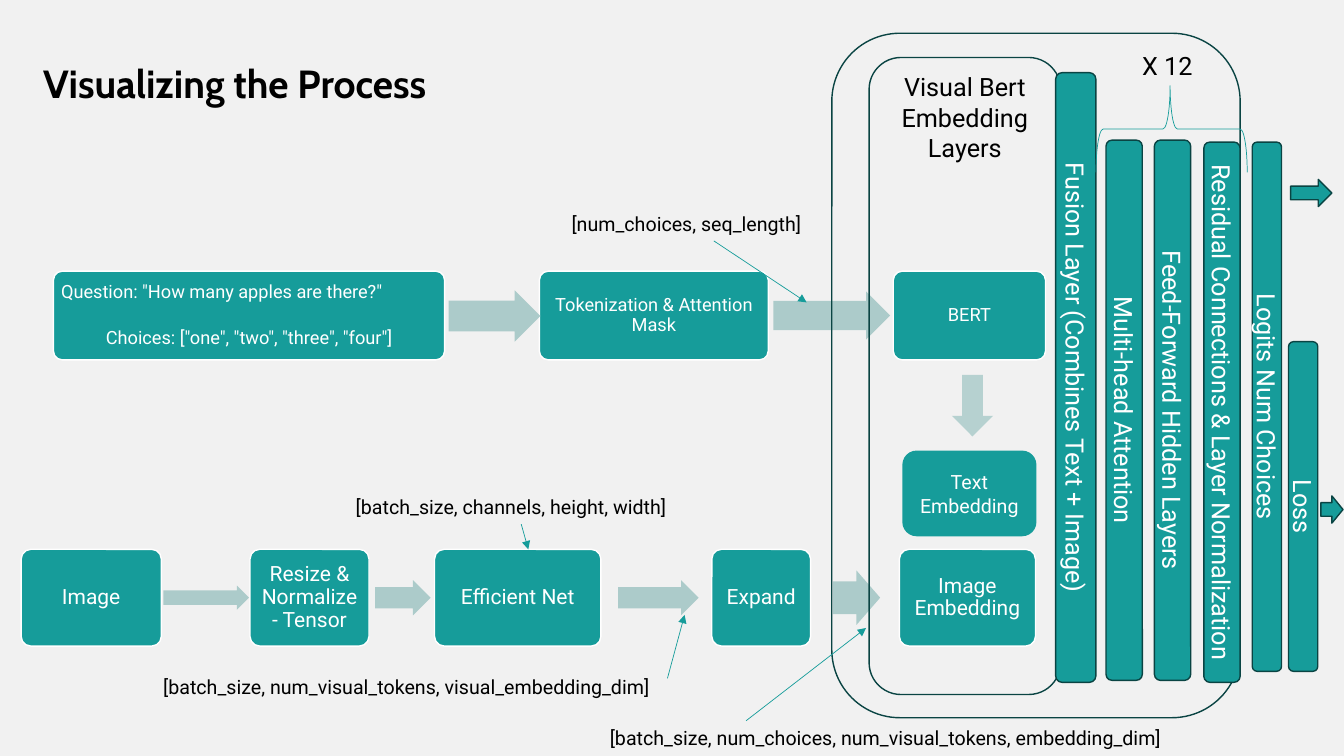
"""Build the slide that shows how a question and an image pass through Visual BERT."""
from lxml.etree import SubElement
from pptx import Presentation
from pptx.dml.color import RGBColor
from pptx.enum.shapes import MSO_CONNECTOR, MSO_SHAPE as Form
from pptx.enum.text import MSO_ANCHOR as Anchor, MSO_AUTO_SIZE, PP_ALIGN as Align
from pptx.oxml.ns import qn
from pptx.util import Inches, Pt

BACKGROUND = RGBColor(0xF1, 0xF1, 0xF1)
TEAL = RGBColor(0x16, 0x9C, 0x9A)
DARK_TEAL = RGBColor(0x0A, 0x44, 0x43)
PALE_TEAL = RGBColor(0xAC, 0xCB, 0xCA)
MIST = RGBColor(0xAB, 0xCB, 0xCA)
WHITE = RGBColor(0xFF, 0xFF, 0xFF)
BLACK = RGBColor(0, 0, 0)


class Diagram:
    """Draw the parts of the process in one style on the current slide."""

    body_font = "Roboto"

    def __init__(self, slide):
        self.slide = slide
        self.target = slide.shapes
        slide.background.fill.solid()
        slide.background.fill.fore_color.rgb = BACKGROUND

    def start_group(self):
        self.target = self.slide.shapes.add_group_shape().shapes

    def end_group(self):
        self.target = self.slide.shapes

    def set_text(self, frame, text, size, color, align=Align.CENTER,
                 name=body_font, bold=None):
        frame.word_wrap = True
        frame.text = text
        for paragraph in frame.paragraphs:
            paragraph.alignment = align
            font = paragraph.font
            font.name, font.size, font.bold = name, Pt(size), bold
            font.color.rgb = color

    def shape(self, form, box, fill=None, line=None, weight=1, adjust=()):
        shape = self.target.add_shape(form, *map(Inches, box))
        shape.shadow.inherit = False
        for index, value in enumerate(adjust):
            shape.adjustments[index] = value
        if fill is None:
            shape.fill.background()
        else:
            shape.fill.solid()
            shape.fill.fore_color.rgb = fill
        if line is None:
            shape.line.fill.background()
        else:
            shape.line.color.rgb = line
            shape.line.width = Pt(weight)
        return shape

    def step(self, box, text, size, inset):
        step = self.shape(Form.ROUNDED_RECTANGLE, box, TEAL, WHITE, adjust=(0.1,))
        frame = step.text_frame
        frame.margin_left = frame.margin_right = Inches(inset)
        frame.margin_top = frame.margin_bottom = Inches(inset)
        self.set_text(frame, text, size, WHITE)
        for paragraph in frame.paragraphs:
            paragraph.line_spacing = 0.9
        return step

    def flow_arrow(self, box):
        self.shape(Form.RIGHT_ARROW, box, PALE_TEAL, adjust=(0.6, 0.5))

    def layer(self, box, text):
        layer = self.shape(Form.ROUNDED_RECTANGLE, box, TEAL, DARK_TEAL)
        self.set_text(layer.text_frame, text, 18, WHITE)
        layer.text_frame.vertical_anchor = Anchor.MIDDLE
        layer.element.txBody.bodyPr.set("vert", "vert")

    def label(self, box, text, size=14, **style):
        frame = self.target.add_textbox(*map(Inches, box)).text_frame
        self.set_text(frame, text, size, BLACK, Align.LEFT, **style)
        frame.auto_size = MSO_AUTO_SIZE.SHAPE_TO_FIT_TEXT

    def pointer(self, start, end):
        pointer = self.target.add_connector(
            MSO_CONNECTOR.STRAIGHT, *map(Inches, (*start, *end)))
        pointer.line.color.rgb = TEAL
        pointer.line.width = Pt(0.5)
        properties = pointer.element.spPr
        SubElement(properties.find(qn("a:ln")), qn("a:tailEnd"), type="triangle")
        SubElement(properties, qn("a:effectLst"))


def draw_question_row(diagram):
    top, height = 2.69, 0.88
    diagram.start_group()
    question = diagram.step(
        (0.53, top, 3.88, height),
        'Question: "How many apples are there?"\nChoices: ["one", "two", "three", "four"]',
        13, 0.05)
    prompt, choices = question.text_frame.paragraphs
    prompt.alignment = Align.LEFT
    choices.space_before = Pt(18.5)
    for left, width, text in ((5.35, 2.27, "Tokenization & Attention Mask"),
                              (8.86, 1.51, "BERT")):
        diagram.step((left, top, width, height), text, 13, 0.05)
    for box in ((4.45, 2.88, 0.91, 0.51), (7.67, 2.89, 1.16, 0.48)):
        diagram.flow_arrow(box)
    diagram.end_group()


def draw_image_row(diagram):
    top, height = 5.45, 0.96
    middle = top + height / 2
    diagram.start_group()
    for left, width, text in ((0.21, 1.39, "Image"),
                              (2.48, 1.18, "Resize & Normalize - Tensor"),
                              (4.31, 1.65, "Efficient Net"),
                              (7.06, 0.98, "Expand"),
                              (8.92, 1.35, "Image Embedding")):
        diagram.step((left, top, width, height), text, 15, 0.06)
    for left, width, depth in ((1.62, 0.85, 0.24), (3.72, 0.55, 0.35),
                               (6.13, 0.8, 0.35), (8.26, 0.47, 0.54)):
        diagram.flow_arrow((left, middle - depth / 2, width, depth))
    diagram.end_group()


def draw_model(diagram):
    embedding_frame = diagram.shape(
        Form.ROUNDED_RECTANGLE, (8.62, 0.57, 1.9, 6.32), line=DARK_TEAL)
    diagram.set_text(embedding_frame.text_frame, "Visual Bert Embedding Layers", 18, BLACK)
    embedding_frame.text_frame.vertical_anchor = Anchor.TOP
    diagram.shape(Form.ROUNDED_RECTANGLE, (8.25, 0.33, 4.05, 6.79), line=DARK_TEAL)

    text_embedding = diagram.shape(Form.ROUNDED_RECTANGLE, (8.95, 4.47, 1.33, 0.85), TEAL)
    diagram.set_text(text_embedding.text_frame, "Text Embedding", 14, WHITE)
    text_embedding.text_frame.vertical_anchor = Anchor.MIDDLE
    down_arrow = diagram.shape(Form.DOWN_ARROW, (9.44, 3.72, 0.41, 0.61), MIST)
    tint = down_arrow.element.spPr.find(qn("a:solidFill"))[0]
    SubElement(tint, qn("a:alpha"), val="84000")

    for box, text in (
            ((10.47, 0.72, 0.4, 6.05), "Fusion Layer (Combines Text + Image)"),
            ((10.97, 1.39, 0.36, 5.36), "Multi-head Attention"),
            ((11.45, 1.39, 0.36, 5.36), "Feed-Forward Hidden Layers"),
            ((11.94, 1.41, 0.36, 5.36), "Residual Connections & Layer Normalization"),
            ((12.42, 1.41, 0.29, 5.25), "Logits Num Choices"),
            ((12.78, 3.39, 0.29, 3.27), "Loss")):
        diagram.layer(box, text)
    for box in ((12.8, 1.78, 0.41, 0.27), (13.1, 4.92, 0.22, 0.27)):
        diagram.shape(Form.RIGHT_ARROW, box, TEAL, DARK_TEAL)

    repeat_brace = diagram.shape(Form.LEFT_BRACE, (11.19, 0.53, 0.86, 1.5),
                                 line=TEAL, weight=0.5, adjust=(0.083, 0.51))
    repeat_brace.rotation = 90
    diagram.label((11.23, 0.45, 0.81, 0.4), "X 12", 18)


def draw_tensor_sizes(diagram):
    for left, top, width, text, start, end in (
            (3.43, 4.86, 3.48, "[batch_size, channels, height, width]",
             (5.17, 5.2), (5.24, 5.45)),
            (1.52, 6.65, 5.27, "[batch_size, num_visual_tokens, visual_embedding_dim]",
             (6.62, 6.73), (6.79, 6.1)),
            (5.95, 7.15, 6.17, "[batch_size, num_choices, num_visual_tokens, embedding_dim]",
             (7.4, 7.15), (8.59, 6.23)),
            (5.57, 2.05, 3.02, "[num_choices, seq_length]",
             (7.08, 2.39), (8, 3))):
        diagram.label((left, top, width, 0.34), text)
        diagram.pointer(start, end)


def main():
    deck = Presentation()
    deck.slide_width, deck.slide_height = Inches(13.33), Inches(7.5)
    diagram = Diagram(deck.slides.add_slide(deck.slide_layouts[6]))
    diagram.label((0.33, 0.54, 11.65, 0.5), "Visualizing the Process", 28,
                  name="Cabin", bold=True)
    draw_question_row(diagram)
    draw_image_row(diagram)
    draw_model(diagram)
    draw_tensor_sizes(diagram)
    deck.save("out.pptx")


if __name__ == "__main__":
    main()
